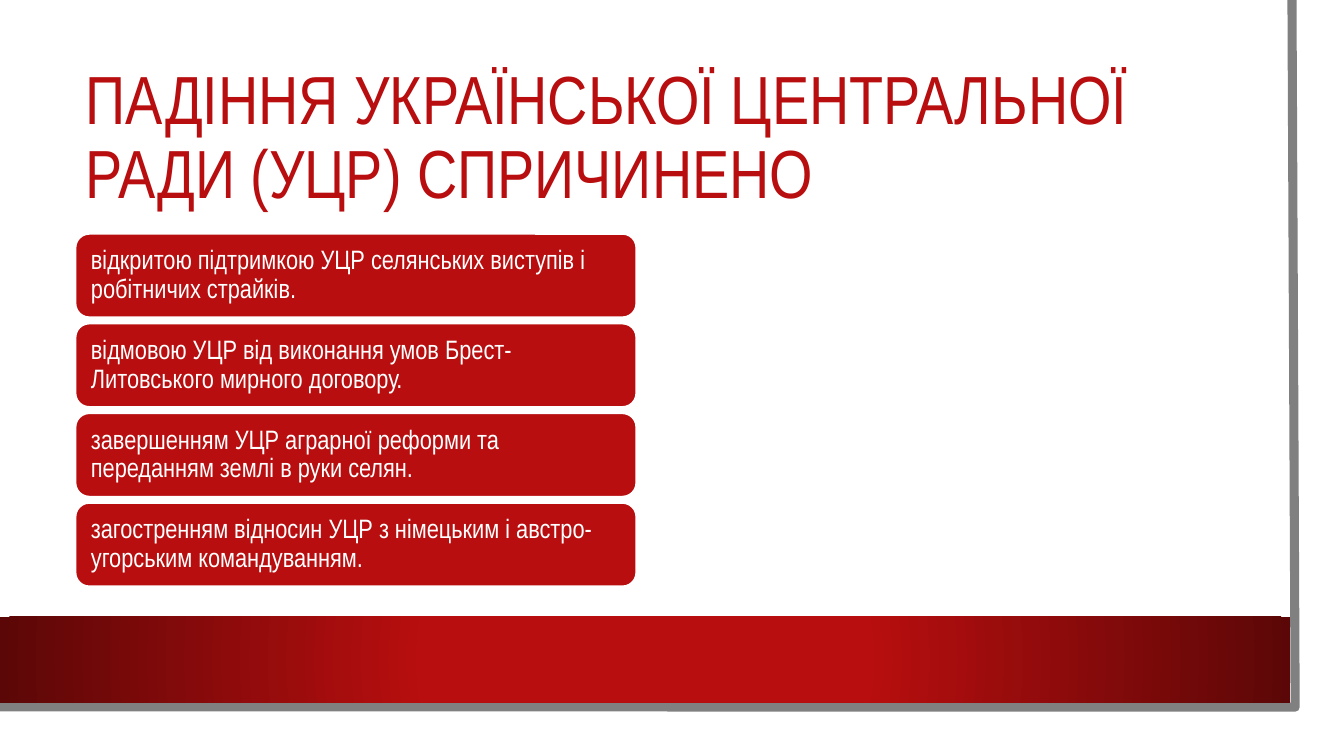
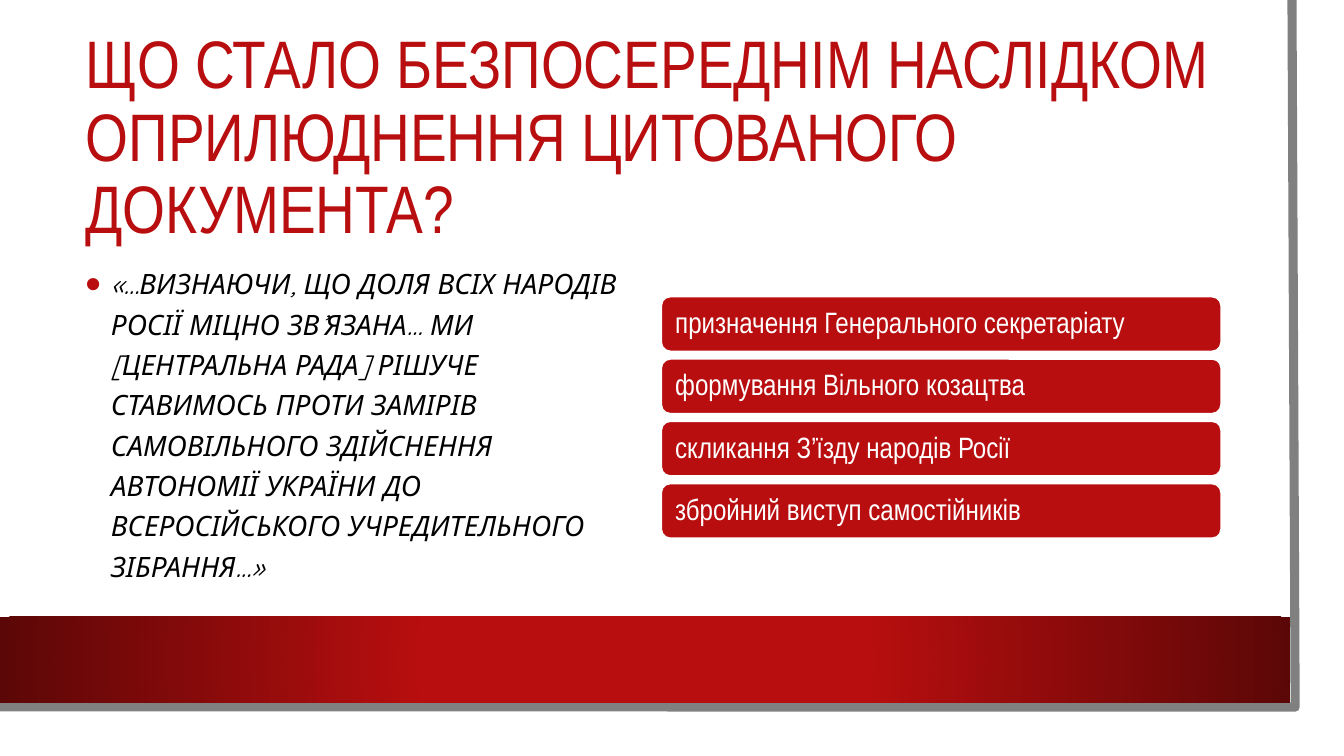
from lxml import etree
from pptx import Presentation
from pptx.dml.color import RGBColor
from pptx.enum.shapes import MSO_SHAPE
from pptx.enum.text import MSO_ANCHOR, MSO_AUTO_SIZE, PP_ALIGN
from pptx.oxml import parse_xml
from pptx.oxml.ns import nsdecls, qn
from pptx.util import Cm, Pt

RED = RGBColor(0xB8, 0x0E, 0x0F)
DARK_RED = RGBColor(0x5C, 0x07, 0x07)
GRAY = RGBColor(0x80, 0x80, 0x80)
WHITE = RGBColor(0xFF, 0xFF, 0xFF)
BLACK = RGBColor(0, 0, 0)

TITLE_ONLY, TITLE_AND_BODY = 5, 1
TITLE_BOX = (1.9, 1.9, 28.89, 3.23)
BODY_BOX = (1.9, 6.43, 14.14, 9.19)
BAND_BOX = (0, 15.54, 32.52, 2.17)
EDGE = [(32.56, 0), (32.64, 17.82), (-0.08, 17.81)]

SLIDES = [
    {
        "layout": TITLE_ONLY,
        "title": "ПАДІННЯ УКРАЇНСЬКОЇ ЦЕНТРАЛЬНОЇ РАДИ (УЦР) СПРИЧИНЕНО",
        "title_size": 48.6,
        "cards": [
            "відкритою підтримкою УЦР селянських виступів і робітничих страйків.",
            "відмовою УЦР від виконання умов Брест-Литовського мирного договору.",
            "завершенням УЦР аграрної реформи та переданням землі в руки селян.",
            "загостренням відносин УЦР з німецьким і австро-угорським командуванням.",
        ],
        "first_card": (1.9, 5.89, 14.14, 2.11),
        "pitch": 2.26,
        "card_size": 19,
    },
    {
        "layout": TITLE_AND_BODY,
        "title": "ЩО СТАЛО БЕЗПОСЕРЕДНІМ НАСЛІДКОМ ОПРИЛЮДНЕННЯ ЦИТОВАНОГО ДОКУМЕНТА?",
        "title_size": 48,
        "quote": "«…ВИЗНАЮЧИ, ЩО ДОЛЯ ВСІХ НАРОДІВ РОСІЇ МІЦНО ЗВ’ЯЗАНА… МИ "
                 "[ЦЕНТРАЛЬНА РАДА] РІШУЧЕ СТАВИМОСЬ ПРОТИ ЗАМІРІВ САМОВІЛЬНОГО "
                 "ЗДІЙСНЕННЯ АВТОНОМІЇ УКРАЇНИ ДО ВСЕРОСІЙСЬКОГО "
                 "УЧРЕДИТЕЛЬНОГО ЗІБРАННЯ…»",
        "cards": [
            "призначення Генерального секретаріату",
            "формування Вільного козацтва",
            "скликання З’їзду народів Росії",
            "збройний виступ самостійників",
        ],
        "first_card": (16.66, 7.47, 14.12, 1.39),
        "pitch": 1.57,
        "card_size": 21,
    },
]


def set_attrs(obj, values):
    for name, value in values.items():
        setattr(obj, name, value)


def place(sp, box):
    set_attrs(sp, dict(zip(("left", "top", "width", "height"), map(Cm, box))))


def write(sp, text, size, color, name="Arial Narrow", italic=False,
          spacing=0.9, anchor=MSO_ANCHOR.MIDDLE):
    tf = sp.text_frame
    tf.text = text
    set_attrs(tf, {"word_wrap": True, "auto_size": MSO_AUTO_SIZE.NONE,
                   "vertical_anchor": anchor})
    p = tf.paragraphs[0]
    set_attrs(p, {"alignment": PP_ALIGN.LEFT, "line_spacing": spacing,
                  "space_before": Pt(0)})
    r = p.runs[0]
    set_attrs(r.font, {"name": name, "size": Pt(size), "italic": italic})
    r.font.color.rgb = color
    return p


def add_bullet(p):
    pPr = p._p.get_or_add_pPr()
    pPr.set("marL", str(Cm(0.64)))
    pPr.set("indent", str(Cm(-0.64)))
    clr = etree.SubElement(pPr, qn("a:buClr"))
    etree.SubElement(clr, qn("a:srgbClr"), val=str(RED))
    etree.SubElement(pPr, qn("a:buSzPct"), val="160000")
    etree.SubElement(pPr, qn("a:buChar"), char="•")


def add_frame(prs, slide):
    points = [(Cm(x), Cm(y)) for x, y in EDGE]
    builder = slide.shapes.build_freeform(*points[0])
    builder.add_line_segments(points[1:], close=False)
    edge = builder.convert_to_shape()
    edge.fill.background()
    edge.line.color.rgb = GRAY
    edge.line.width = Pt(6.5)

    band = slide.shapes.add_shape(MSO_SHAPE.RECTANGLE, *map(Cm, BAND_BOX))
    band.line.fill.background()
    band.fill.background()
    no_fill = band.element.spPr.find(qn("a:noFill"))
    stops = "".join(
        f'<a:gs pos="{pos}"><a:srgbClr val="{color}"/></a:gs>'
        for pos, color in ((34000, RED), (100000, DARK_RED)))
    gradient = parse_xml(
        f'<a:gradFill {nsdecls("a")} rotWithShape="1"><a:gsLst>{stops}</a:gsLst>'
        '<a:path path="circle"><a:fillToRect l="50000" t="50000" r="50000" b="50000"/>'
        '</a:path></a:gradFill>')
    no_fill.getparent().replace(no_fill, gradient)

    tree = prs.slide_master.shapes.element
    for i, sp in enumerate((edge, band)):
        sp.shadow.inherit = False
        tree.insert(2 + i, sp.element)


def add_cards(slide, texts, first, pitch, size):
    left, top, width, height = first
    for i, text in enumerate(texts):
        box = (left, top + i * pitch, width, height)
        sp = slide.shapes.add_shape(MSO_SHAPE.ROUNDED_RECTANGLE, *map(Cm, box))
        sp.shadow.inherit = False
        sp.fill.solid()
        sp.fill.fore_color.rgb = RED
        sp.line.color.rgb = WHITE
        sp.line.width = Pt(1.5)
        write(sp, text, size, WHITE)
        set_attrs(sp.text_frame, {"margin_left": Cm(0.29), "margin_right": Cm(0.29)})


def main():
    prs = Presentation()
    set_attrs(prs, {"slide_width": Cm(33.87), "slide_height": Cm(19.05)})
    for n, data in enumerate(SLIDES):
        slide = prs.slides.add_slide(prs.slide_layouts[data["layout"]])
        if n == 0:
            add_frame(prs, slide)
        title = slide.shapes.title
        place(title, TITLE_BOX)
        write(title, data["title"], data["title_size"], RED)
        if "quote" in data:
            body = slide.placeholders[1]
            place(body, BODY_BOX)
            p = write(body, data["quote"], 20, BLACK, "Quicksand", True, 1.2,
                      MSO_ANCHOR.TOP)
            add_bullet(p)
        add_cards(slide, data["cards"], data["first_card"], data["pitch"],
                  data["card_size"])
    prs.save("out.pptx")


if __name__ == "__main__":
    main()
